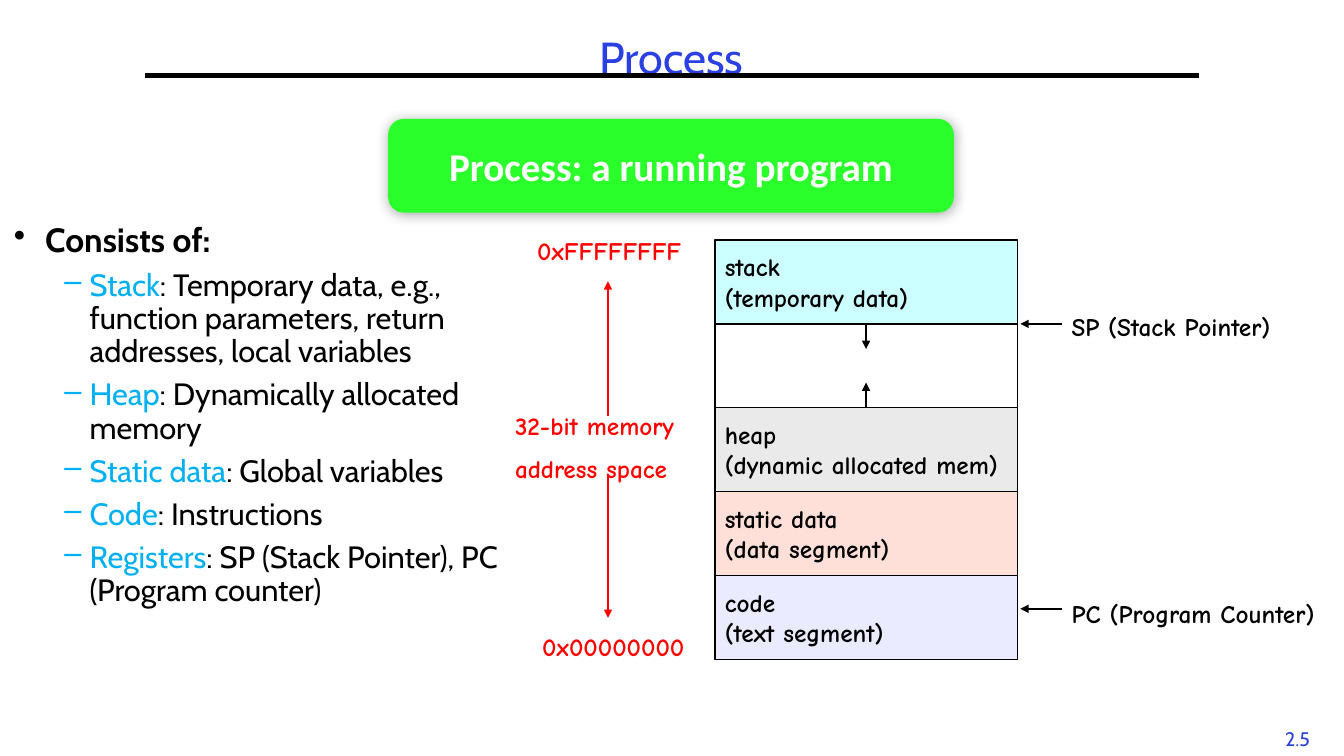
from dataclasses import dataclass

from lxml import etree
from pptx import Presentation
from pptx import util as u
from pptx.dml.color import RGBColor
from pptx.enum import shapes, text
from pptx.oxml import parse_xml
from pptx.oxml.ns import nsdecls, qn


@dataclass(frozen=True)
class Theme:
    blue: str = "2A40E2"
    cyan: str = "00B0F0"
    green: str = "2BFF2B"
    red: str = "FF0000"
    black: str = "000000"
    white: str = "FFFFFF"
    body_font: str = "Cabin"
    banner_font: str = "Calibri"
    diagram_font: str = "Comic Neue"
    title_size: int = 32
    banner_size: int = 28
    heading_size: int = 24
    item_size: int = 22
    diagram_size: int = 18
    number_size: int = 14
    line_spacing: float = 0.9
    item_gap: int = 7
    label_gap: int = 9


THEME = Theme()

TITLE = "Process"
BANNER = "Process: a running program"
PAGE_NUMBER = "2.5"
HEADING = "Consists of:"
PARTS = [
    ("Stack", ": Temporary data, e.g., function parameters, return addresses, local variables"),
    ("Heap", ": Dynamically allocated memory"),
    ("Static data", ": Global variables"),
    ("Code", ": Instructions"),
    ("Registers", ": SP (Stack Pointer), PC (Program counter)"),
]
SEGMENTS = [
    ("CCFFFF", ["stack", "(temporary data)"]),
    ("FFFFFF", []),
    ("EAEAEA", ["heap", "(dynamic allocated mem)"]),
    ("FFE0D9", ["static data", "(data segment)"]),
    ("EBEBFF", ["code", "(text segment)"]),
]
LABELS = [
    ((5.28, 6.21, 1.74, 0.4), ["0x00000000"], THEME.red),
    ((5.23, 2.29, 1.73, 0.4), ["0xFFFFFFFF"], THEME.red),
    ((5.01, 4.02, 2.04, 0.86), ["32-bit memory", "address space"], THEME.red),
    ((10.53, 5.89, 2.81, 0.4), ["PC (Program Counter)"], THEME.black),
    ((10.53, 3.04, 2.47, 0.4), ["SP (Stack Pointer)"], THEME.black),
]
MEMORY_LEFT, MEMORY_TOP, MEMORY_WIDTH, SEGMENT_HEIGHT = 7.09, 2.38, 3, 0.833
MEMORY_MIDDLE = MEMORY_LEFT + MEMORY_WIDTH / 2
STACK_END = MEMORY_TOP + SEGMENT_HEIGHT
HEAP_START = STACK_END + SEGMENT_HEIGHT
GROWTH = 0.25
ADDRESS_X = 6.03
POINTER_START, POINTER_END, PC_Y = 10.53, 10.12, 6.04


def inches(values):
    return [u.Inches(value) for value in values]


def add_span(para, words, size, font, color, bold=False):
    span = para.add_run()
    span.text = words
    span.font.size = u.Pt(size)
    span.font.name = font
    span.font.bold = bold
    span.font.color.rgb = RGBColor.from_string(color)


def add_lines(frame, lines, color, gap=0):
    for index, words in enumerate(lines):
        para = frame.paragraphs[0] if index == 0 else frame.add_paragraph()
        para.alignment = text.PP_ALIGN.LEFT
        if index:
            para.space_before = u.Pt(gap)
        add_span(para, words, THEME.diagram_size, THEME.diagram_font, color, True)


def add_box(page, area, wrap=True):
    box = page.shapes.add_textbox(*inches(area))
    box.text_frame.word_wrap = wrap
    return box.text_frame


def add_bullet(para, mark, color, margin, hanging):
    properties = para._p.get_or_add_pPr()
    properties.set("marL", str(u.Inches(margin)))
    properties.set("indent", str(u.Inches(-hanging)))
    bullet_color = etree.SubElement(properties, qn("a:buClr"))
    etree.SubElement(bullet_color, qn("a:srgbClr"), val=color)
    etree.SubElement(properties, qn("a:buChar"), char=mark)
    para.line_spacing = THEME.line_spacing


def add_line(page, start, end, color=THEME.black, width=1, arrow=True):
    line = page.shapes.add_connector(
        shapes.MSO_CONNECTOR.STRAIGHT, *inches(start + end))
    line.line.color.rgb = RGBColor.from_string(color)
    line.line.width = u.Pt(width)
    if arrow:
        etree.SubElement(line.line._get_or_add_ln(), qn("a:tailEnd"), type="triangle")
    etree.SubElement(line._element.spPr, qn("a:effectLst"))
    return line


def add_filled(page, kind, area, color):
    shape = page.shapes.add_shape(kind, *inches(area))
    shape.shadow.inherit = False
    shape.fill.solid()
    shape.fill.fore_color.rgb = RGBColor.from_string(color)
    shape.text_frame.word_wrap = True
    shape.text_frame.vertical_anchor = text.MSO_ANCHOR.MIDDLE
    return shape


def add_heading(page):
    title = page.shapes.title
    title.left, title.top, title.width, title.height = inches((0.46, 0.3, 12.4, 0.58))
    title.text_frame.auto_size = text.MSO_AUTO_SIZE.NONE
    title.text_frame.vertical_anchor = text.MSO_ANCHOR.TOP
    para = title.text_frame.paragraphs[0]
    para.alignment = text.PP_ALIGN.CENTER
    para.line_spacing = THEME.line_spacing
    add_span(para, TITLE, THEME.title_size, THEME.body_font, THEME.blue)
    add_line(page, (1.44, 0.75), (11.89, 0.75), width=3, arrow=False)

    number = add_box(page, (12.58, 7.16, 0.58, 0.33), wrap=False).paragraphs[0]
    number.alignment = text.PP_ALIGN.CENTER
    add_span(number, PAGE_NUMBER, THEME.number_size, THEME.body_font, THEME.blue)


def add_banner(page):
    banner = add_filled(page, shapes.MSO_SHAPE.ROUNDED_RECTANGLE,
                        (3.85, 1.18, 5.61, 0.93), THEME.green)
    banner.line.fill.background()
    effects = banner._element.spPr.find(qn("a:effectLst"))
    effects.append(parse_xml(
        f'<a:outerShdw {nsdecls("a")} blurRad="{u.Pt(9)}" dist="{u.Pt(1)}" '
        f'dir="5400000" rotWithShape="0"><a:srgbClr val="{THEME.black}">'
        '<a:alpha val="35000"/></a:srgbClr></a:outerShdw>'))
    para = banner.text_frame.paragraphs[0]
    para.alignment = text.PP_ALIGN.CENTER
    add_span(para, BANNER, THEME.banner_size, THEME.banner_font, THEME.white, True)


def add_parts(page):
    frame = add_box(page, (0.04, 2.17, 5.11, 5.62 - 0.3))
    para = frame.paragraphs[0]
    add_bullet(para, "•", THEME.black, 0.31, 0.31)
    add_span(para, HEADING, THEME.heading_size, THEME.body_font, THEME.black, True)
    for name, meaning in PARTS:
        para = frame.add_paragraph()
        para.level = 1
        add_bullet(para, "–", THEME.cyan, 0.75, 0.25)
        para.space_before = u.Pt(THEME.item_gap)
        add_span(para, name, THEME.item_size, THEME.body_font, THEME.cyan)
        add_span(para, meaning, THEME.item_size, THEME.body_font, THEME.black)


def add_memory(page):
    segments = []
    for row, (color, lines) in enumerate(SEGMENTS):
        area = (MEMORY_LEFT, MEMORY_TOP + row * SEGMENT_HEIGHT,
                MEMORY_WIDTH, SEGMENT_HEIGHT)
        segment = add_filled(page, shapes.MSO_SHAPE.RECTANGLE, area, color)
        segment.line.color.rgb = RGBColor.from_string(THEME.black)
        segment.line.width = u.Pt(1)
        add_lines(segment.text_frame, lines, THEME.black)
        segments.append(segment)

    stack, free, heap = segments[:3]
    down = add_line(page, (MEMORY_MIDDLE, STACK_END), (MEMORY_MIDDLE, STACK_END + GROWTH))
    down.begin_connect(stack, 2)
    up = add_line(page, (MEMORY_MIDDLE, HEAP_START), (MEMORY_MIDDLE, HEAP_START - GROWTH))
    up.begin_connect(heap, 0)
    for y in (STACK_END, PC_Y):
        add_line(page, (POINTER_START, y), (POINTER_END, y))


def add_addresses(page):
    for area, lines, color in LABELS:
        add_lines(add_box(page, area, wrap=False), lines, color, THEME.label_gap)
    for start, end in ((4.13, 2.79), (4.71, 6.13)):
        add_line(page, (ADDRESS_X, start), (ADDRESS_X, end), THEME.red)


def main():
    deck = Presentation()
    deck.slide_width, deck.slide_height = inches((13.33, 7.5))
    page = deck.slides.add_slide(deck.slide_layouts[5])
    for add_section in (add_heading, add_parts, add_banner, add_addresses, add_memory):
        add_section(page)
    deck.save("out.pptx")


if __name__ == "__main__":
    main()
